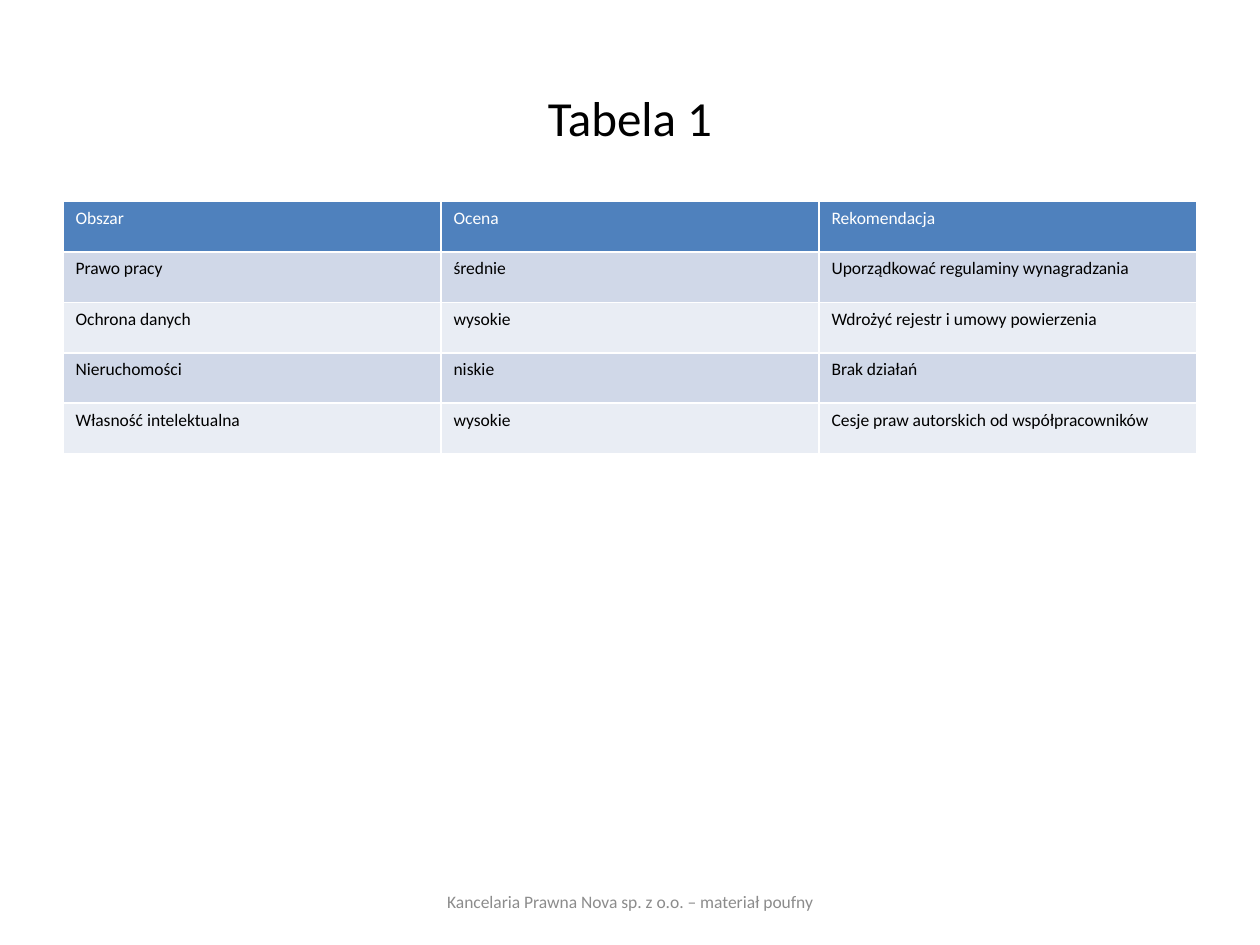
from pptx import Presentation
from pptx import util as u
from pptx.dml import color
from pptx.enum import text

FONT = "Calibri"
ASSESSMENT = [
    ("Obszar", "Ocena", "Rekomendacja"),
    ("Prawo pracy", "średnie", "Uporządkować regulaminy wynagradzania"),
    ("Ochrona danych", "wysokie", "Wdrożyć rejestr i umowy powierzenia"),
    ("Nieruchomości", "niskie", "Brak działań"),
    ("Własność intelektualna", "wysokie", "Cesje praw autorskich od współpracowników"),
]
HEADER_FILL = "4F81BD"
BAND_FILLS = ("E9EDF4", "D0D8E8")


def rgb(hex_code):
    return color.RGBColor.from_string(hex_code)


def add_run(paragraph, wording, size, ink):
    run = paragraph.add_run()
    run.text = wording
    run.font.name = FONT
    run.font.size = u.Pt(size)
    run.font.bold = False
    run.font.color.rgb = rgb(ink)


def add_centred_line(slide, wording, left, top, width, height, size, ink):
    box = slide.shapes.add_textbox(u.Pt(left), u.Pt(top), u.Pt(width), u.Pt(height))
    frame = box.text_frame
    frame.word_wrap = True
    frame.vertical_anchor = text.MSO_ANCHOR.MIDDLE
    line = frame.paragraphs[0]
    line.alignment = text.PP_ALIGN.CENTER
    add_run(line, wording, size, ink)


def add_assessment_table(slide, rows, left, top, width, row_height):
    table = slide.shapes.add_table(
        len(rows), len(rows[0]),
        u.Pt(left), u.Pt(top), u.Pt(width), u.Pt(row_height * len(rows)),
    ).table
    for row_index, row in enumerate(rows):
        is_header = row_index == 0
        row_fill = HEADER_FILL if is_header else BAND_FILLS[row_index % 2]
        ink = "FFFFFF" if is_header else "000000"
        for column_index, wording in enumerate(row):
            cell = table.cell(row_index, column_index)
            cell.fill.solid()
            cell.fill.fore_color.rgb = rgb(row_fill)
            add_run(cell.text_frame.paragraphs[0], wording, 10, ink)


def main():
    deck = Presentation()
    deck.slide_width, deck.slide_height = u.Pt(720), u.Pt(540)
    slide = deck.slides.add_slide(deck.slide_layouts[6])
    add_centred_line(slide, "Tabela 1", 36, 21.6, 648, 90, 28, "000000")
    add_assessment_table(slide, ASSESSMENT, 36, 115.2, 648, 28.8)
    add_centred_line(
        slide, "Kancelaria Prawna Nova sp. z o.o. – materiał poufny",
        246, 500.5, 228, 28.8, 10, "8C8C8C",
    )
    deck.save("out.pptx")


if __name__ == "__main__":
    main()
